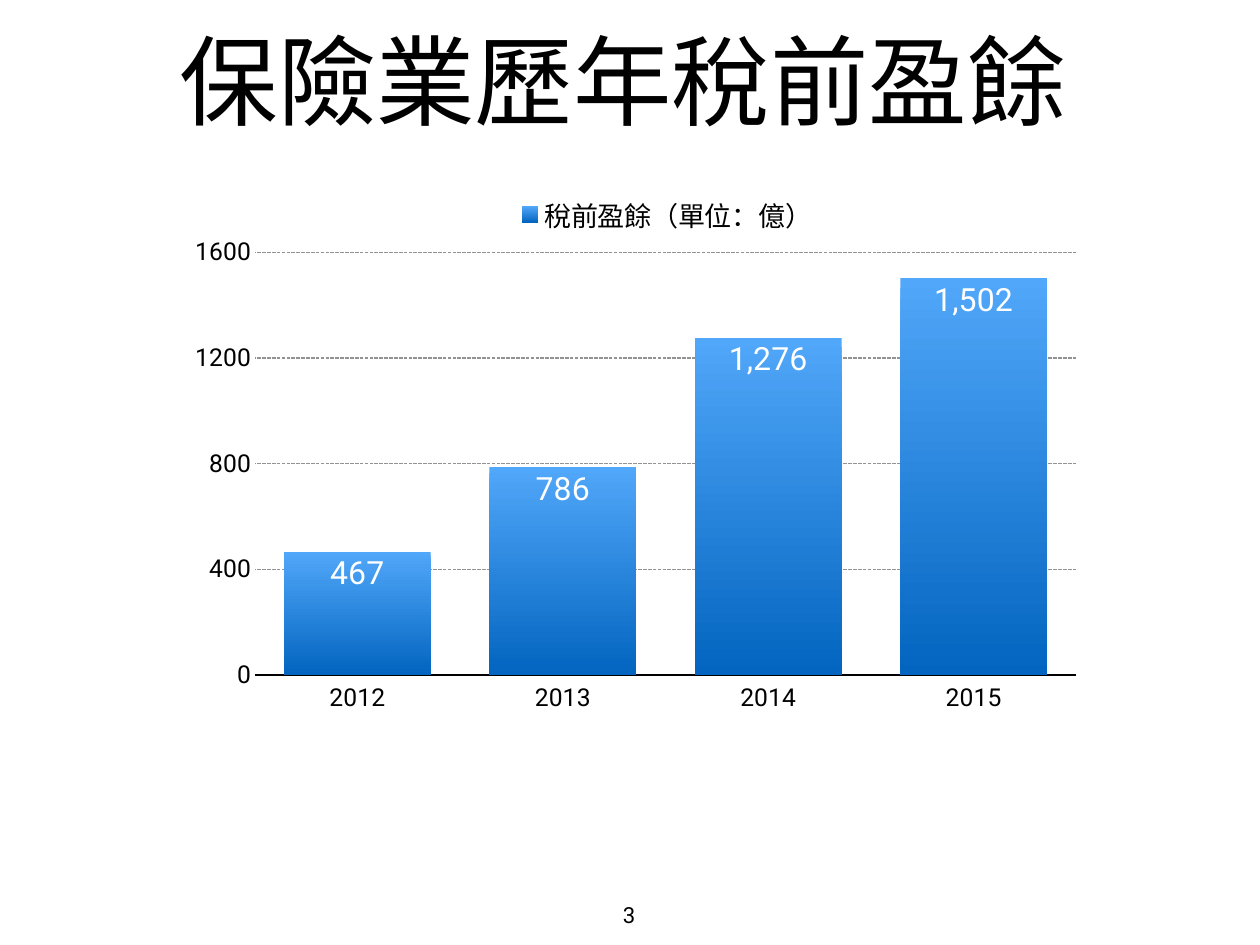
from lxml.etree import SubElement
from pptx import Presentation
from pptx.chart.data import CategoryChartData
from pptx.dml.color import RGBColor
from pptx.enum.chart import (XL_CHART_TYPE, XL_LABEL_POSITION, XL_LEGEND_POSITION,
                             XL_TICK_LABEL_POSITION, XL_TICK_MARK)
from pptx.enum.dml import MSO_LINE
from pptx.enum.text import MSO_ANCHOR, MSO_AUTO_SIZE, PP_ALIGN
from pptx.oxml.ns import qn
from pptx.util import Inches, Pt

COLORS = {"text": "000000", "label": "FFFFFF", "grid": "929292",
          "bar top": "51A7F9", "bar bottom": "0365C0"}


def style_font(font, size, color="text"):
    font.name = "Roboto"
    font.size = Pt(size)
    font.color.rgb = RGBColor.from_string(COLORS[color])


def set_layout(parent, position, **settings):
    """Give a chart part a fixed place, as shares of the chart's size."""
    for old in parent.findall(qn("c:layout")):
        parent.remove(old)
    layout = parent.makeelement(qn("c:layout"))
    parent.insert(position, layout)
    manual = SubElement(layout, qn("c:manualLayout"))
    for name, value in settings.items():
        SubElement(manual, qn(f"c:{name}")).set("val", str(value))


deck = Presentation()
deck.slide_width, deck.slide_height = Inches(14.22), Inches(10.67)
page = deck.slides.add_slide(deck.slide_layouts[6])

# Title and page number
for text, size, place, anchor, wrap in (
    ("保險業歷年稅前盈餘", 80, (1.31, -0.43, 11.44, 2.05), MSO_ANCHOR.BOTTOM, True),
    ("3", 18, (6.97, 10.12, 0.26, 0.42), MSO_ANCHOR.TOP, False),
):
    box = page.shapes.add_textbox(*map(Inches, place))
    frame = box.text_frame
    frame.text = text
    frame.word_wrap = wrap
    frame.auto_size = MSO_AUTO_SIZE.NONE if wrap else MSO_AUTO_SIZE.SHAPE_TO_FIT_TEXT
    frame.vertical_anchor = anchor
    frame.margin_left = frame.margin_right = Inches(0.06)
    frame.margin_top = frame.margin_bottom = Inches(0.06)
    para = frame.paragraphs[0]
    para.alignment = PP_ALIGN.CENTER
    style_font(para.runs[0].font, size)

# Profit chart
profits = CategoryChartData()
profits.categories = ["2012", "2013", "2014", "2015"]
profits.add_series("稅前盈餘（單位：億）", [467, 786, 1276, 1502])
chart = page.shapes.add_chart(
    XL_CHART_TYPE.COLUMN_CLUSTERED,
    *map(Inches, (2.03, 2.08, 10.17, 6.07)), profits).chart
chart.has_title = False
chart.font.name = "Arial"
chart.font.size = Pt(10)
set_layout(chart._chartSpace.chart.plotArea, 0, layoutTarget="inner",
           xMode="edge", yMode="edge", x=0.083, y=0.127, w=0.912, h=0.786)

# Legend
chart.has_legend = True
legend = chart.legend
legend.position = XL_LEGEND_POSITION.TOP
legend.include_in_layout = True
style_font(legend.font, 22)
set_layout(legend._element, 1, xMode="edge", yMode="edge", x=0.37, y=0.01)

# Axes
years, amounts = chart.category_axis, chart.value_axis
for axis in (years, amounts):
    axis.major_tick_mark = axis.minor_tick_mark = XL_TICK_MARK.NONE
    axis.tick_labels.number_format = "General"
    axis.tick_labels.number_format_is_linked = False
    style_font(axis.tick_labels.font, 20)
years.tick_label_position = XL_TICK_LABEL_POSITION.LOW
years.format.line.width = Pt(1)
years.format.line.color.rgb = RGBColor.from_string(COLORS["text"])
amounts.format.line.fill.background()
amounts.minimum_scale, amounts.maximum_scale, amounts.major_unit = 0, 1600, 400
grid = amounts.major_gridlines.format.line
grid.width = Pt(1)
grid.color.rgb = RGBColor.from_string(COLORS["grid"])
grid.dash_style = MSO_LINE.SQUARE_DOT

# Bars, shaded from top to bottom
plot = chart.plots[0]
plot.gap_width, plot.overlap = 40, -10
plot.vary_by_categories = False
bars = plot.series[0]
bars.format.line.fill.background()
fill = bars.format.fill
fill.gradient()
fill.gradient_angle = 270
for stop, name in zip(fill.gradient_stops, ("bar top", "bar bottom")):
    stop.color.rgb = RGBColor.from_string(COLORS[name])

# Values inside the bars
labels = bars.data_labels
labels.show_value = True
labels.position = XL_LABEL_POSITION.INSIDE_END
labels.number_format = "#,##0"
labels.number_format_is_linked = False
style_font(labels.font, 26, "label")

deck.save("out.pptx")
